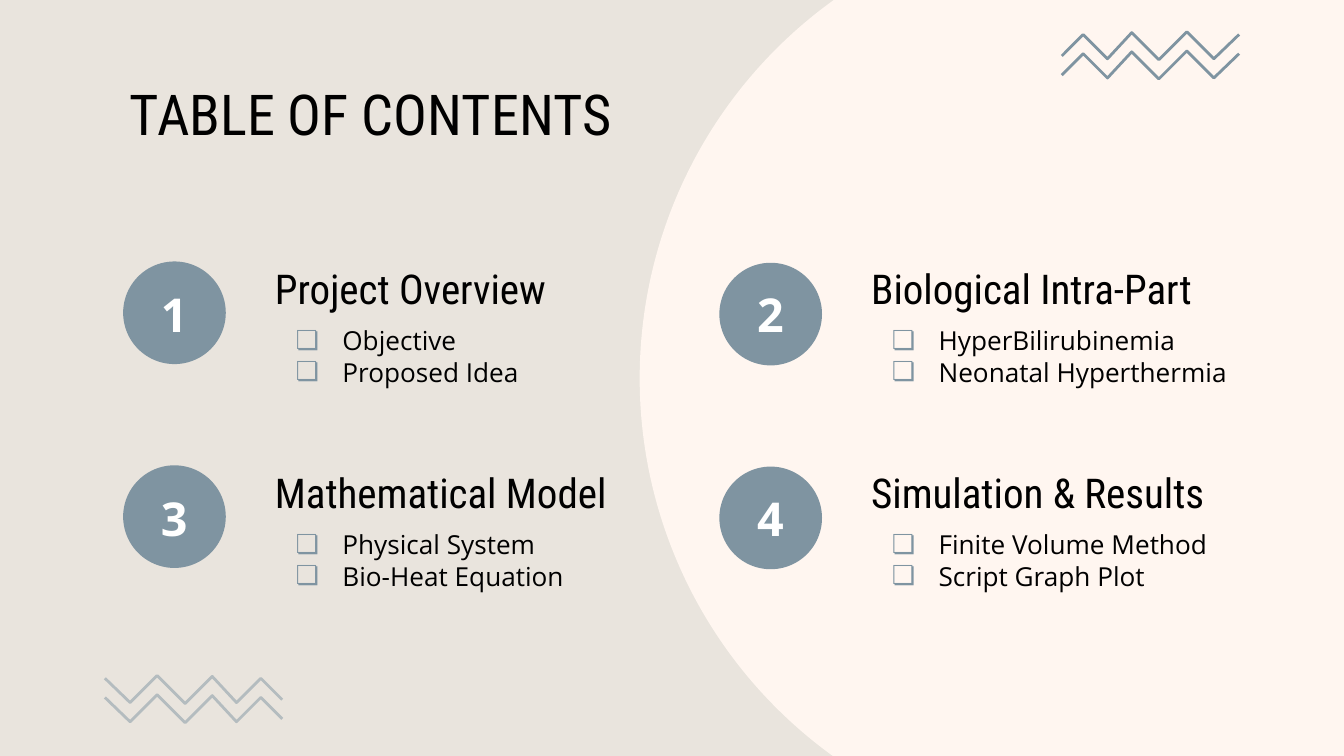
from dataclasses import dataclass

from lxml import etree
from pptx import Presentation
from pptx.dml.color import RGBColor
from pptx.enum.shapes import MSO_SHAPE
from pptx.enum.text import MSO_ANCHOR, MSO_AUTO_SIZE, PP_ALIGN
from pptx.oxml.ns import qn
from pptx.util import Pt

OVAL = MSO_SHAPE.OVAL
TOP, MIDDLE = MSO_ANCHOR.TOP, MSO_ANCHOR.MIDDLE
LEFT, CENTER = PP_ALIGN.LEFT, PP_ALIGN.CENTER
NO_AUTOFIT = MSO_AUTO_SIZE.NONE

SAND, CREAM, SLATE, MIST = "E9E4DD", "FFF6F0", "7F94A1", "B4BCBF"
BLACK, WHITE = "000000", "FFFFFF"
HEADING_FONT, BODY_FONT = "Roboto Condensed", "Open Sans"

COMPARISON_LAYOUT = 4
COLUMN_STEP, ROW_STEP = 319.4, 109.2
ZIGZAG = [(0, 13), (11.5, 1.5), (24.5, 14.5), (37.5, 0.5),
          (52, 15), (67, 0), (81.5, 14.5), (95, 1.5)]
ZIGZAG_GAP = 10.3


@dataclass
class Box:
    left: float
    top: float
    width: float
    height: float


@dataclass
class Style:
    font: str
    size: float
    color: str = BLACK
    bold: bool = False
    align: PP_ALIGN = LEFT
    anchor: MSO_ANCHOR = MIDDLE


@dataclass
class Section:
    heading: str
    topics: list[str]
    topics_width: float


TITLE = Style(HEADING_FONT, 30.2, anchor=TOP)
HEADING = Style(HEADING_FONT, 22)
TOPIC = Style(BODY_FONT, 14)
NUMBER = Style(BODY_FONT, 25, WHITE, True, CENTER)

SECTIONS = [
    Section("Project Overview", ["Objective", "Proposed Idea"], 187),
    Section("Biological Intra-Part",
            ["HyperBilirubinemia", "Neonatal Hyperthermia"], 227),
    Section("Mathematical Model", ["Physical System", "Bio-Heat Equation"], 187),
    Section("Simulation & Results",
            ["Finite Volume Method", "Script Graph Plot"], 210),
]


def rgb(color: str) -> RGBColor:
    return RGBColor.from_string(color)


def emu(box: Box) -> tuple[Pt, Pt, Pt, Pt]:
    return Pt(box.left), Pt(box.top), Pt(box.width), Pt(box.height)


def place(shape, box: Box) -> None:
    shape.left, shape.top, shape.width, shape.height = emu(box)


def add_circle(slide, left: float, top: float, diameter: float, color: str):
    circle = slide.shapes.add_shape(OVAL, *emu(Box(left, top, diameter, diameter)))
    circle.shadow.inherit = False
    circle.fill.solid()
    circle.fill.fore_color.rgb = rgb(color)
    circle.line.fill.background()
    return circle


def add_zigzags(slide, left: float, top: float, color: str,
                mirrored: bool = False) -> None:
    """Draw two stacked zigzags, flipped left to right if mirrored."""
    width = ZIGZAG[-1][0]
    for row in range(2):
        points = [(Pt(left + (width - x if mirrored else x)),
                   Pt(top + y + row * ZIGZAG_GAP)) for x, y in ZIGZAG]
        builder = slide.shapes.build_freeform(*points[0])
        builder.add_line_segments(points[1:], close=False)
        zigzag = builder.convert_to_shape()
        zigzag.shadow.inherit = False
        zigzag.fill.background()
        zigzag.line.color.rgb = rgb(color)
        zigzag.line.width = Pt(1.5)


def add_bullet(paragraph) -> None:
    properties = paragraph._p.get_or_add_pPr()
    properties.set("marL", str(Pt(36)))
    properties.set("indent", str(Pt(-25)))
    bullet_color = etree.SubElement(properties, qn("a:buClr"))
    etree.SubElement(bullet_color, qn("a:srgbClr"), val=SLATE)
    etree.SubElement(properties, qn("a:buChar"), char="❏")


def write(shape, text: str, style: Style) -> None:
    frame = shape.text_frame
    frame.text = text
    frame.word_wrap = True
    frame.auto_size = NO_AUTOFIT
    frame.vertical_anchor = style.anchor
    frame.margin_left = frame.margin_right = Pt(7.2)
    frame.margin_top = frame.margin_bottom = Pt(7.2)
    for paragraph in frame.paragraphs:
        paragraph.alignment = style.align
        paragraph.space_before = Pt(0)
        for run in paragraph.runs:
            run.font.name = style.font
            run.font.size = Pt(style.size)
            run.font.bold = style.bold
            run.font.color.rgb = rgb(style.color)


def add_label(slide, text: str, box: Box, style: Style) -> None:
    write(slide.shapes.add_textbox(*emu(box)), text, style)


def add_section(slide, index: int, section: Section) -> None:
    row, column = divmod(index, 2)
    dx, dy = column * COLUMN_STEP, row * ROW_STEP
    add_circle(slide, 66 + dx, 140.1 + dy + column * 0.7, 55, SLATE)
    add_label(slide, str(index + 1), Box(70.6 + dx, 145.4 + dy, 45.4, 45.4), NUMBER)
    add_label(slide, section.heading, Box(140.2 + dx, 140.1 + dy, 204, 28.8), HEADING)

    topics = slide.placeholders[index + 1]
    place(topics, Box(140.2 + dx, 176.4 + dy, section.topics_width, 28.8))
    write(topics, "\n".join(section.topics), TOPIC)
    for paragraph in topics.text_frame.paragraphs:
        add_bullet(paragraph)
        paragraph.line_spacing = 1.0


def main() -> None:
    deck = Presentation()
    deck.slide_width, deck.slide_height = Pt(720), Pt(405)
    slide = deck.slides.add_slide(deck.slide_layouts[COMPARISON_LAYOUT])
    slide.background.fill.solid()
    slide.background.fill.fore_color.rgb = rgb(SAND)

    backdrop = add_circle(slide, 342.7, -46.8, 499, CREAM)
    slide.shapes.element.insert(2, backdrop.element)  # behind the placeholders
    add_zigzags(slide, 56.2, 361.9, MIST, mirrored=True)
    add_zigzags(slide, 568.8, 17, SLATE)

    place(slide.shapes.title, Box(62.4, 35.3, 607.7, 45.4))
    write(slide.shapes.title, "TABLE OF CONTENTS", TITLE)
    for index, section in enumerate(SECTIONS):
        add_section(slide, index, section)

    deck.save("out.pptx")


if __name__ == "__main__":
    main()
